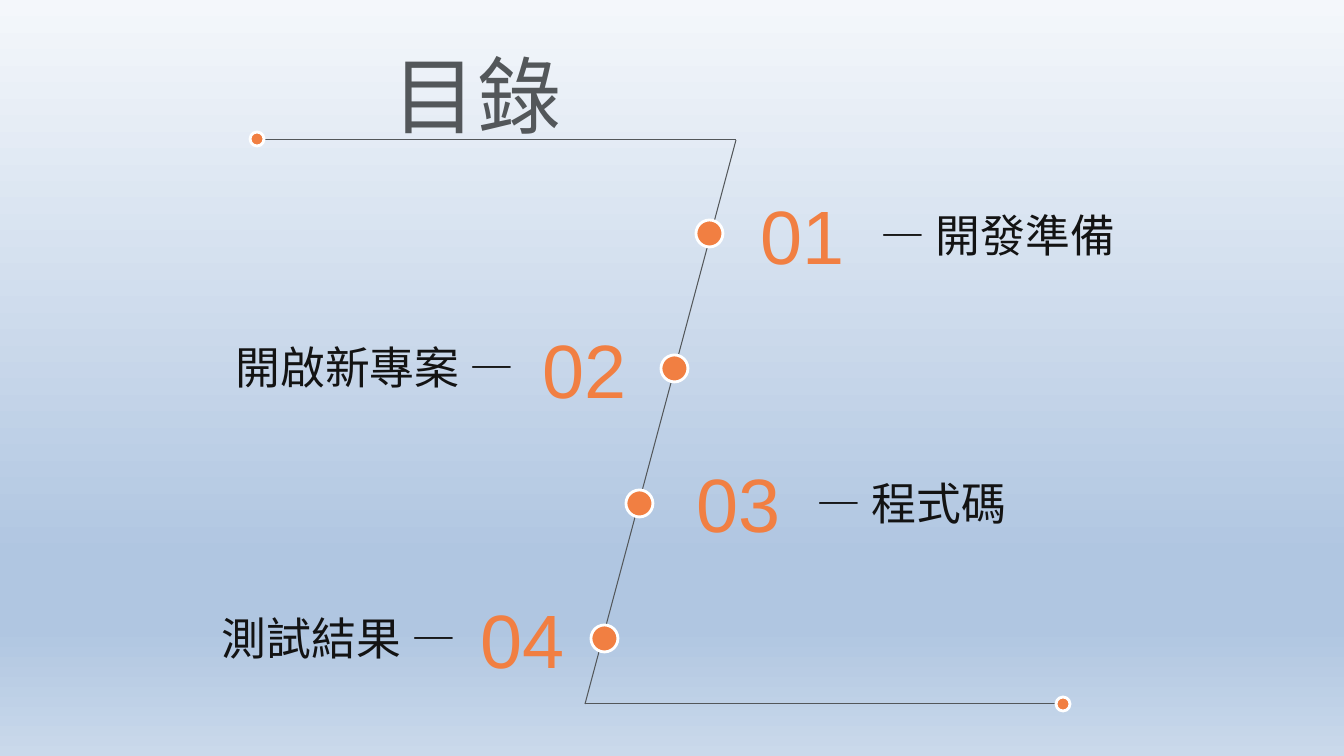
from lxml.etree import SubElement
from pptx import Presentation
from pptx.dml.color import RGBColor
from pptx.enum.shapes import MSO_CONNECTOR, MSO_SHAPE
from pptx.enum.text import MSO_ANCHOR, MSO_AUTO_SIZE, PP_ALIGN
from pptx.oxml.ns import qn
from pptx.util import Emu, Pt

ORANGE = RGBColor(0xF1, 0x7F, 0x42)
GREY = RGBColor(0x53, 0x57, 0x5A)
INK = RGBColor(0x13, 0x13, 0x13)
WHITE = RGBColor(0xFF, 0xFF, 0xFF)
SKY = [
    (0, RGBColor(0xF4, 0xF7, 0xFB)),
    (74, RGBColor(0xB0, 0xC6, 0xE1)),
    (83, RGBColor(0xB0, 0xC6, 0xE1)),
    (100, RGBColor(0xCA, 0xD9, 0xEB)),
]
CJK = "Noto Sans CJK SC"
LATIN = "Arial"

LINE_PATH = [(259, 140), (736, 140), (585, 704), (1061, 704)]
END_DOTS = [(250, 132), (1056, 697)]

# number box (left, top), label box (left, top, width), label, alignment
CHAPTERS = [
    ((751, 184), (871, 203, 264), "— 開發準備", PP_ALIGN.LEFT),
    ((533, 318), (221, 335, 308), "開啟新專案 —", PP_ALIGN.CENTER),
    ((687, 452), (807, 471, 219), "— 程式碼", PP_ALIGN.LEFT),
    ((471, 588), (207, 606, 264), "測試結果 —", PP_ALIGN.CENTER),
]


def px(n):
    return Emu(round(n * 914400 / 100.8))


def paint_background(slide):
    fill = slide.background.fill
    fill.gradient()
    fill.gradient_angle = 270
    stops = slide.element.find(".//" + qn("a:gsLst"))
    for stop in list(stops):
        stops.remove(stop)
    for percent, color in SKY:
        stop = SubElement(stops, qn("a:gs"), pos=str(percent * 1000))
        SubElement(stop, qn("a:srgbClr"), val=str(color))


def write(sp, text, size, font, color, align=PP_ALIGN.LEFT, wrap=False):
    tf = sp.text_frame
    tf.word_wrap = wrap
    tf.auto_size = MSO_AUTO_SIZE.SHAPE_TO_FIT_TEXT
    tf.vertical_anchor = MSO_ANCHOR.TOP
    p = tf.paragraphs[0]
    p.alignment = align
    r = p.add_run()
    r.text = text
    r.font.size = Pt(size)
    r.font.color.rgb = color
    r.font.name = font
    SubElement(r.font._element, qn("a:ea"), typeface=font)


def add_title(slide, text):
    sp = slide.shapes.title
    sp.left, sp.top, sp.width, sp.height = px(382), px(38), px(190), px(112)
    write(sp, text, 60, CJK, GREY, PP_ALIGN.CENTER)
    sp.text_frame.paragraphs[0].line_spacing = 1.0


def add_text(slide, left, top, width, height, *style, **options):
    sp = slide.shapes.add_textbox(px(left), px(top), px(width), px(height))
    write(sp, *style, **options)


def add_line(slide, start, end):
    line = slide.shapes.add_connector(
        MSO_CONNECTOR.STRAIGHT, *(px(n) for n in start + end))
    line.line.color.rgb = GREY
    line.line.width = Pt(0.75)
    SubElement(line.element.spPr, qn("a:effectLst"))


def add_dot(slide, left, top, size):
    dot = slide.shapes.add_shape(
        MSO_SHAPE.OVAL, px(left), px(top), px(size), px(size))
    dot.shadow.inherit = False
    dot.fill.solid()
    dot.fill.fore_color.rgb = ORANGE
    dot.line.color.rgb = WHITE
    dot.line.width = Pt(2)


def main():
    prs = Presentation()
    prs.slide_width, prs.slide_height = px(1344), px(756)
    slide = prs.slides.add_slide(prs.slide_layouts[5])
    paint_background(slide)
    add_title(slide, "目錄")
    for start, end in zip(LINE_PATH, LINE_PATH[1:]):
        add_line(slide, start, end)
    for left, top in END_DOTS:
        add_dot(slide, left, top, 14)
    for i, (number_at, (left, top, width), label, align) in enumerate(CHAPTERS):
        add_dot(slide, 696 - 35 * i, 220 + 135 * i, 27)
        add_text(slide, *number_at, 119, 102,
                 f"{i + 1:02}", 54, LATIN, ORANGE, wrap=True)
        add_text(slide, left, top, width, 65, label, 32, CJK, INK, align)
    prs.save("out.pptx")


if __name__ == "__main__":
    main()
